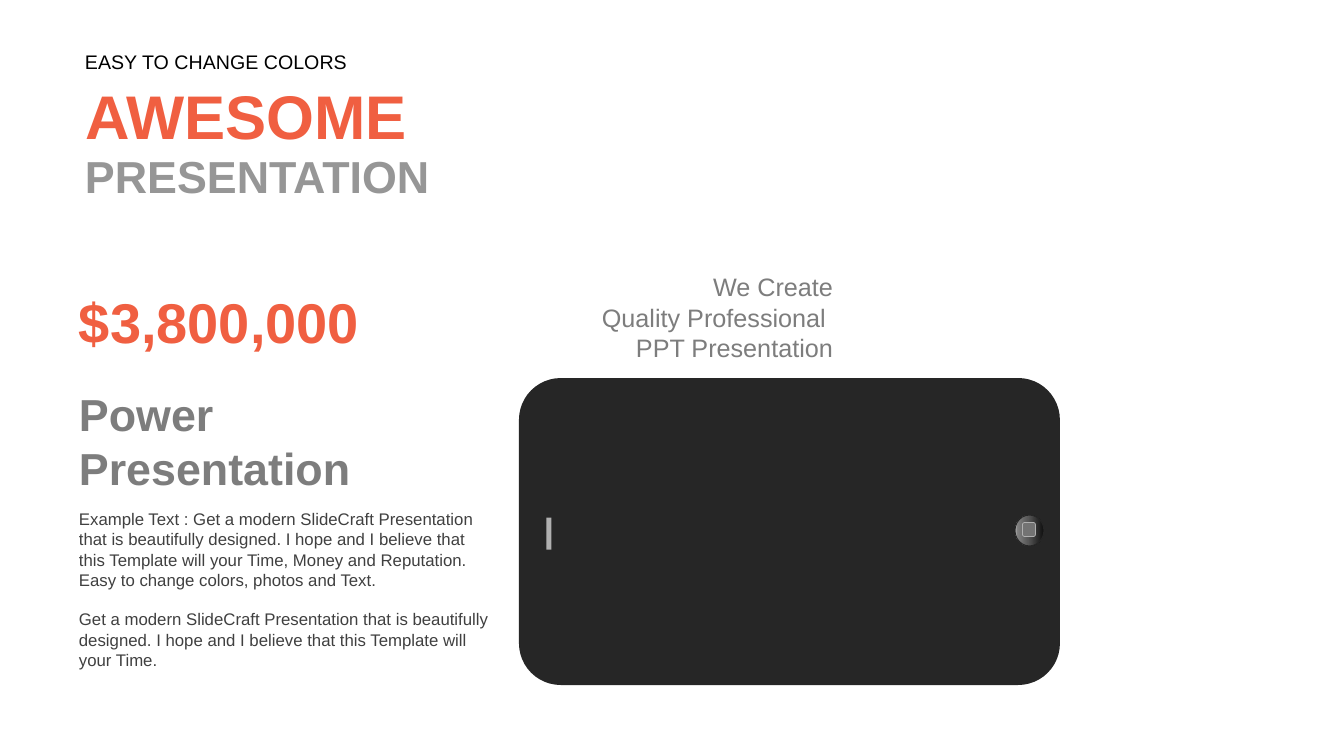
from lxml.etree import SubElement
from pptx import Presentation
from pptx.dml.color import RGBColor
from pptx.enum.shapes import MSO_SHAPE
from pptx.enum.text import MSO_ANCHOR, MSO_AUTO_SIZE, PP_ALIGN
from pptx.oxml.ns import qn
from pptx.util import Pt

EMU_PER_PX = 914400 / 100.8

ORANGE = RGBColor(0xF0, 0x5F, 0x41)
SILVER = RGBColor(0x96, 0x96, 0x96)
GREY = RGBColor(0x7D, 0x7D, 0x7D)
BODY = RGBColor(0x40, 0x40, 0x40)
BLACK = RGBColor(0, 0, 0)
CASE = RGBColor(0x26, 0x26, 0x26)
SPEAKER = RGBColor(0xB0, 0xB0, 0xB0)
BUTTON_ICON = RGBColor(0x73, 0x73, 0x73)
BUTTON_STOPS = [(0, "0F0F0F"), (56, "595959"), (91, "808080"), (100, "BFBFBF")]


def px(length):
    return round(length * EMU_PER_PX)


def write_text(frame, *paragraphs, size, color, bold=False, font="Arial",
               align=PP_ALIGN.LEFT, anchor=MSO_ANCHOR.TOP, gap=0):
    frame.word_wrap = True
    frame.auto_size = MSO_AUTO_SIZE.SHAPE_TO_FIT_TEXT
    frame.vertical_anchor = anchor
    for index, words in enumerate(paragraphs):
        paragraph = frame.add_paragraph() if index else frame.paragraphs[0]
        paragraph.alignment = align
        if index and gap:
            paragraph.space_before = Pt(gap)
        run = paragraph.add_run()
        run.text = words
        run.font.name, run.font.size, run.font.bold = font, Pt(size), bold
        run.font.color.rgb = color


class SlideBuilder:
    def __init__(self, deck):
        self.slide = deck.slides.add_slide(deck.slide_layouts[5])

    def title(self, words, left, top, width, height, **style):
        heading = self.slide.shapes.title
        heading.left, heading.top = px(left), px(top)
        heading.width, heading.height = px(width), px(height)
        write_text(heading.text_frame, words, **style)

    def text(self, paragraphs, left, top, width, height, inset=None, **style):
        box = self.slide.shapes.add_textbox(px(left), px(top), px(width), px(height))
        frame = box.text_frame
        if inset is not None:
            frame.margin_left = frame.margin_right = px(inset)
            frame.margin_top = frame.margin_bottom = 0
        write_text(frame, *paragraphs, **style)

    def phone_part(self, kind, left, top, width, height, fill=None,
                   line=None, line_width=0, corner=None):
        part = self.slide.shapes.add_shape(kind, px(left), px(top), px(width), px(height))
        part.rotation = 270
        part.shadow.inherit = False
        if corner is not None:
            part.adjustments[0] = corner
        if fill is not None:
            part.fill.solid()
            part.fill.fore_color.rgb = fill
        if line is None:
            part.line.fill.background()
        else:
            part.line.color.rgb = line
            part.line.width = Pt(line_width)
        return part

    def gradient(self, part, stops, angle):
        part.fill.gradient()
        grad = part.fill._xPr.find(qn("a:gradFill"))
        grad.set("rotWithShape", "0")
        for child in list(grad):
            grad.remove(child)
        stop_list = SubElement(grad, qn("a:gsLst"))
        for position, color in stops:
            stop = SubElement(stop_list, qn("a:gs"), pos=str(position * 1000))
            SubElement(stop, qn("a:srgbClr"), val=color)
        SubElement(grad, qn("a:lin"), ang=str(angle * 60000), scaled="0")


def main():
    deck = Presentation()
    deck.slide_width, deck.slide_height = px(1344), px(756)
    page = SlideBuilder(deck)

    # Phone lying on its side
    page.phone_part(MSO_SHAPE.ROUNDED_RECTANGLE, 636, 261, 307, 541, CASE, corner=0.136)
    page.phone_part(MSO_SHAPE.RECTANGLE, 533, 531, 32, 5, SPEAKER)
    button = page.phone_part(MSO_SHAPE.OVAL, 1014, 516, 31, 29, line=CASE)
    page.gradient(button, BUTTON_STOPS, 180)
    page.phone_part(MSO_SHAPE.ROUNDED_RECTANGLE, 1022, 523, 14, 13, BUTTON_ICON,
                    line=SPEAKER, line_width=0.5)

    # Heading
    heading = {"align": PP_ALIGN.JUSTIFY, "anchor": MSO_ANCHOR.MIDDLE, "bold": True}
    page.title("AWESOME", 75, 72, 463, 85, size=44, color=ORANGE, **heading)
    page.text(["PRESENTATION"], 75, 143, 463, 65, size=32, color=SILVER, **heading)
    page.text(["EASY TO CHANGE COLORS"], 75, 45, 463, 34, size=14, color=BLACK,
              align=PP_ALIGN.JUSTIFY)

    # Figure and description
    page.text(["$3,800,000"], 69, 283, 333, 78, size=40, color=ORANGE, bold=True)
    page.text(["Power Presentation"], 69, 382, 430, 119, size=32, color=GREY, bold=True)
    page.text(
        ["Example Text : Get a modern SlideCraft Presentation that is beautifully "
         "designed. I hope and I believe that this Template will your Time, Money and "
         "Reputation. Easy to change colors, photos and Text.",
         "Get a modern SlideCraft Presentation that is beautifully designed. I hope "
         "and I believe that this Template will your Time."],
        69, 504, 435, 173, size=12, color=BODY, gap=14)

    # Slogan above the phone
    page.text(["We Create", "Quality Professional ", "PPT Presentation"],
              551, 271, 286, 92, inset=4, size=18, color=GREY,
              align=PP_ALIGN.RIGHT, anchor=MSO_ANCHOR.MIDDLE)

    deck.save("out.pptx")


if __name__ == "__main__":
    main()
